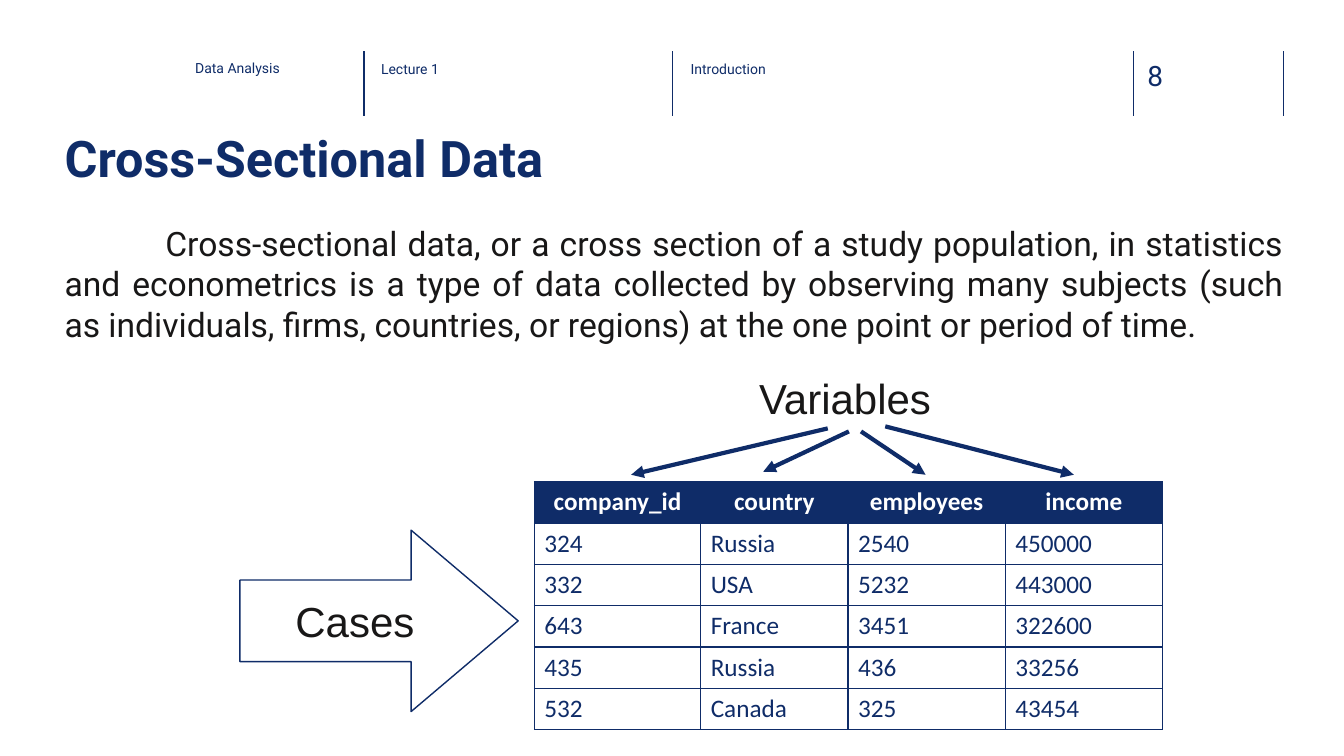
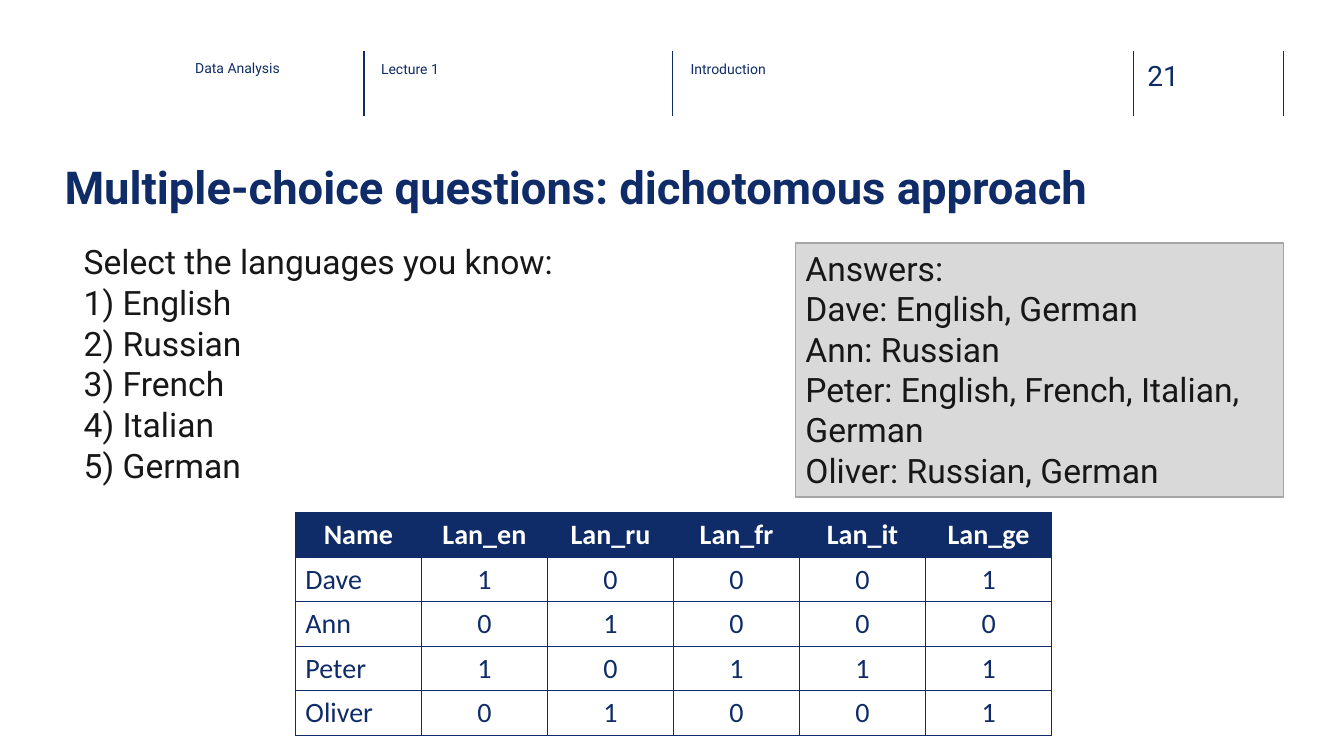
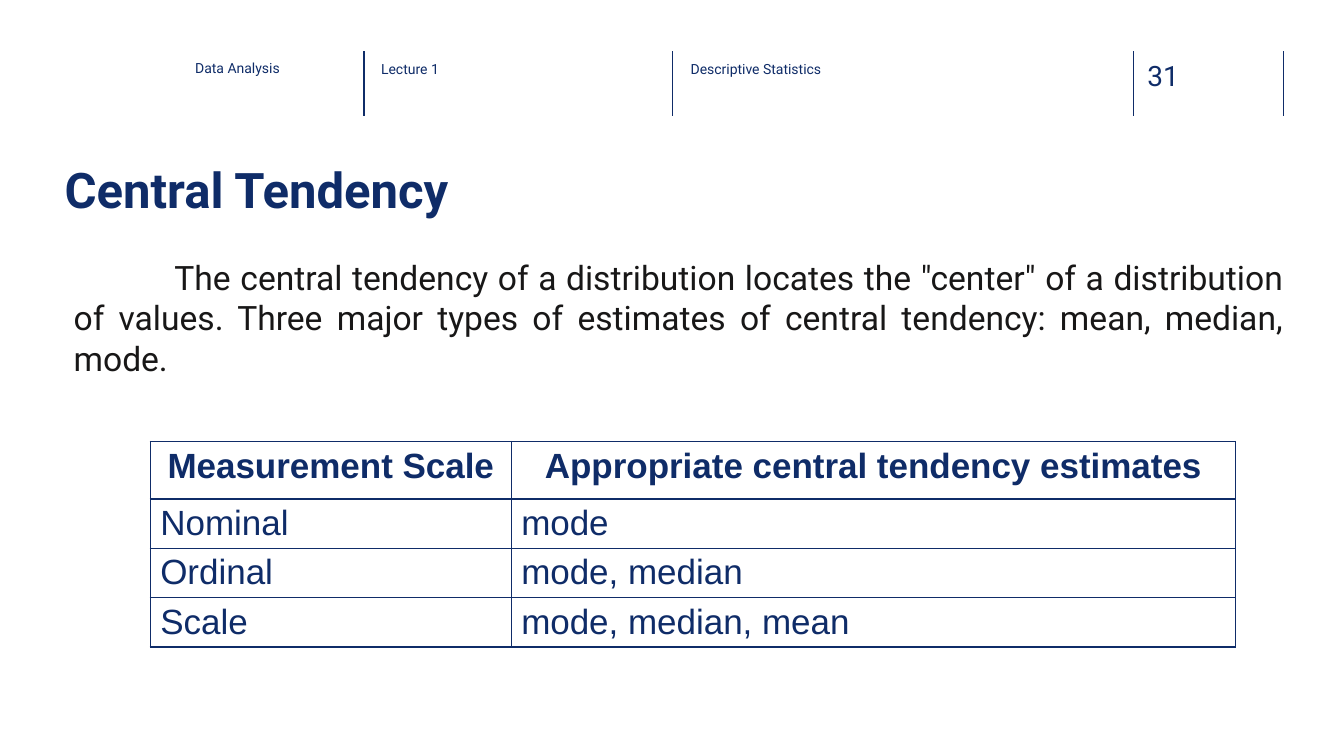
from pptx import Presentation
from pptx import util as u
from pptx.dml.color import RGBColor
from pptx.enum import shapes, text
from pptx.oxml import ns
from lxml import etree

NAVY, INK, WHITE = "0F2C68", "181717", "FFFFFF"
GREY, EDGE = "D9D9D9", "A5A5A5"
LEFT, WIDTH = 0.64, 12.09
ALIGN = text.PP_ALIGN
SHAPE = shapes.MSO_SHAPE


def color(code):
    return RGBColor.from_string(code)


def sub(parent, tag, **attrs):
    return etree.SubElement(parent, ns.qn(tag), attrs)


def inches(*sizes):
    return [u.Inches(size) for size in sizes]


def add_run(para, words, size, font="Roboto", tint=INK, bold=False):
    run = para.add_run()
    run.text = words
    run.font.size = u.Pt(size)
    run.font.name = font
    run.font.bold = bold
    run.font.color.rgb = color(tint)


def fill_frame(frame, lines, size, align=ALIGN.LEFT, pad=(0.1, 0.05),
               anchor=text.MSO_ANCHOR.TOP, **style):
    frame.word_wrap = True
    frame.auto_size = text.MSO_AUTO_SIZE.NONE
    frame.vertical_anchor = anchor
    frame.margin_left = frame.margin_right = u.Inches(pad[0])
    frame.margin_top = frame.margin_bottom = u.Inches(pad[1])
    for i, line in enumerate(lines):
        para = frame.add_paragraph() if i else frame.paragraphs[0]
        para.alignment = align
        add_run(para, line, size, **style)


def add_text(slide, box, words, size, **style):
    shape = slide.shapes.add_textbox(*inches(*box))
    fill_frame(shape.text_frame, [words], size, **style)


def add_line(slide, start, end, width=1, arrow=False):
    line = slide.shapes.add_connector(
        shapes.MSO_CONNECTOR.STRAIGHT, *inches(*start, *end))
    line.line.color.rgb = color(NAVY)
    line.line.width = u.Pt(width)
    if arrow:
        sub(line.line._get_or_add_ln(), "a:tailEnd", type="triangle")
    sub(line._element.spPr, "a:effectLst")


def add_box(slide, kind, box, fill, edge, lines, size, **style):
    shape = slide.shapes.add_shape(kind, *inches(*box))
    shape.shadow.inherit = False
    shape.fill.solid()
    shape.fill.fore_color.rgb = color(fill)
    shape.line.color.rgb = color(edge)
    shape.line.width = u.Pt(1)
    fill_frame(shape.text_frame, lines, size, **style)
    return shape


def place(shape, box):
    shape.left, shape.top, shape.width, shape.height = inches(*box)


def add_body(slide, box, lines, size=24, before=12, spacing=1.0,
             margin=0, indent=0, **style):
    body = slide.placeholders[1]
    place(body, box)
    fill_frame(body.text_frame, lines, size, align=ALIGN.JUSTIFY, **style)
    for para in body.text_frame.paragraphs:
        para.space_before = u.Pt(before)
        para.line_spacing = spacing
        props = para._p.get_or_add_pPr()
        props.set("marL", str(u.Inches(margin)))
        props.set("indent", str(u.Inches(indent)))
        sub(props, "a:buNone")


def add_borders(cell):
    props = cell._tc.get_or_add_tcPr()
    for i, side in enumerate(("a:lnL", "a:lnR", "a:lnT", "a:lnB")):
        edge = etree.Element(ns.qn(side), w=str(u.Pt(1)))
        sub(sub(edge, "a:solidFill"), "a:srgbClr", val=NAVY)
        props.insert(i, edge)


def add_grid(slide, spot, widths, heights, rows, size, font="Calibri",
             head=NAVY, title=WHITE, center=False):
    frame = slide.shapes.add_table(
        len(rows), len(widths), *inches(*spot, sum(widths), sum(heights)))
    table = frame.table
    table.first_row = table.horz_banding = False
    for column, width in zip(table.columns, widths):
        column.width = u.Inches(width)
    for r, (row, height) in enumerate(zip(rows, heights)):
        table.rows[r].height = u.Inches(height)
        for c, words in enumerate(row):
            cell = table.cell(r, c)
            cell.fill.solid()
            cell.fill.fore_color.rgb = color(WHITE if r else head)
            add_borders(cell)
            para = cell.text_frame.paragraphs[0]
            middle = r == 0 or (center and c > 0)
            para.alignment = ALIGN.CENTER if middle else ALIGN.LEFT
            add_run(para, words, size, font, NAVY if r else title, r == 0)


def add_slide(deck, number, topic, title, size, top=1.58):
    slide = deck.slides.add_slide(deck.slide_layouts[1])
    for x in (3.61, 6.67, 11.24, 12.73):
        add_line(slide, (x, 0.51), (x, 1.15))
    style = dict(pad=(0, 0), tint=NAVY)
    add_text(slide, (11.38, 0.58, 0.73, 0.34), number, 20, **style)
    add_text(slide, (1.25, 0.59, 2.21, 0.45), "Data Analysis", 10,
             align=ALIGN.CENTER, **style)
    for x, words in ((3.78, "Lecture 1"), (6.85, topic)):
        add_text(slide, (x, 0.6, 2.26, 0.45), words, 10, **style)
    place(slide.shapes.title, (LEFT, top, WIDTH, 0.85))
    fill_frame(slide.shapes.title.text_frame, [title], size, bold=True, **style)
    return slide


def add_sections(deck):
    slide = add_slide(deck, "8", "Introduction", "Cross-Sectional Data", 36, 1.26)
    add_body(slide, (LEFT, 2.21, WIDTH, 1.4), [
        "Cross-sectional data, or a cross section of a study population, "
        "in statistics and econometrics is a type of data collected by "
        "observing many subjects (such as individuals, firms, countries, "
        "or regions) at the one point or period of time."],
        pad=(0, 0), indent=1)
    arrow = add_box(slide, SHAPE.RIGHT_ARROW, (2.38, 5.26, 2.76, 1.8), WHITE,
                    NAVY, ["Cases"], 30, align=ALIGN.CENTER, font="Arial",
                    anchor=text.MSO_ANCHOR.MIDDLE)
    arrow.adjustments[0], arrow.adjustments[1] = 0.45, 0.59
    add_grid(slide, (5.3, 4.78), (1.65, 1.46, 1.56, 1.56), [0.41] * 6, [
        ("company_id", "country", "employees", "income"),
        ("324", "Russia", "2540", "450000"),
        ("332", "USA", "5232", "443000"),
        ("643", "France", "3451", "322600"),
        ("435", "Russia", "436", "33256"),
        ("532", "Canada", "325", "43454")], 18)
    add_text(slide, (7.43, 3.65, 2.52, 0.61), "Variables", 30, font="Arial")
    for start, end in (((8.21, 4.25), (6.26, 4.71)),
                       ((8.42, 4.28), (7.57, 4.68)),
                       ((8.78, 4.23), (10.65, 4.71)),
                       ((8.54, 4.28), (9.18, 4.71))):
        add_line(slide, start, end, 3, arrow=True)


def add_choices(deck):
    slide = add_slide(deck, "21", "Introduction",
                      "Multiple-choice questions: dichotomous approach", 32.4)
    add_body(slide, (LEFT, 2.42, 7, 2.5), [
        "Select the languages you know:", "1) English", "2) Russian",
        "3) French", "4) Italian", "5) German"],
        before=6, spacing=0.8, margin=0.09)
    add_box(slide, SHAPE.RECTANGLE, (7.89, 2.41, 4.84, 2.52), GREY, EDGE, [
        "Answers:", "Dave: English, German", "Ann: Russian",
        "Peter: English, French, Italian, German",
        "Oliver: Russian, German"], 24)
    add_grid(slide, (2.93, 5.09), [1.25] * 6, [0.43] * 5, [
        ("Name", "Lan_en", "Lan_ru", "Lan_fr", "Lan_it", "Lan_ge"),
        ("Dave", *"10001"),
        ("Ann", *"01000"),
        ("Peter", *"10111"),
        ("Oliver", *"01001")], 20, center=True)


def add_centers(deck):
    slide = add_slide(deck, "31", "Descriptive Statistics", "Central Tendency", 35)
    add_body(slide, (LEFT, 2.55, WIDTH, 1.72), [
        'The central tendency of a distribution locates the "center" of a '
        "distribution of values. Three major types of estimates of central "
        "tendency: mean, median, mode."],
        pad=(0, 0), margin=0.09, indent=1)
    add_grid(slide, (1.49, 4.38), (3.58, 7.18), [0.57] + [0.49] * 3, [
        ("Measurement Scale", "Appropriate central tendency estimates"),
        ("Nominal", "mode"),
        ("Ordinal", "mode, median"),
        ("Scale", "mode, median, mean")], 25, "Arial", WHITE, NAVY)


def main():
    deck = Presentation()
    deck.slide_width, deck.slide_height = inches(13.33, 7.5)
    add_sections(deck)
    add_choices(deck)
    add_centers(deck)
    deck.save("out.pptx")


if __name__ == "__main__":
    main()
